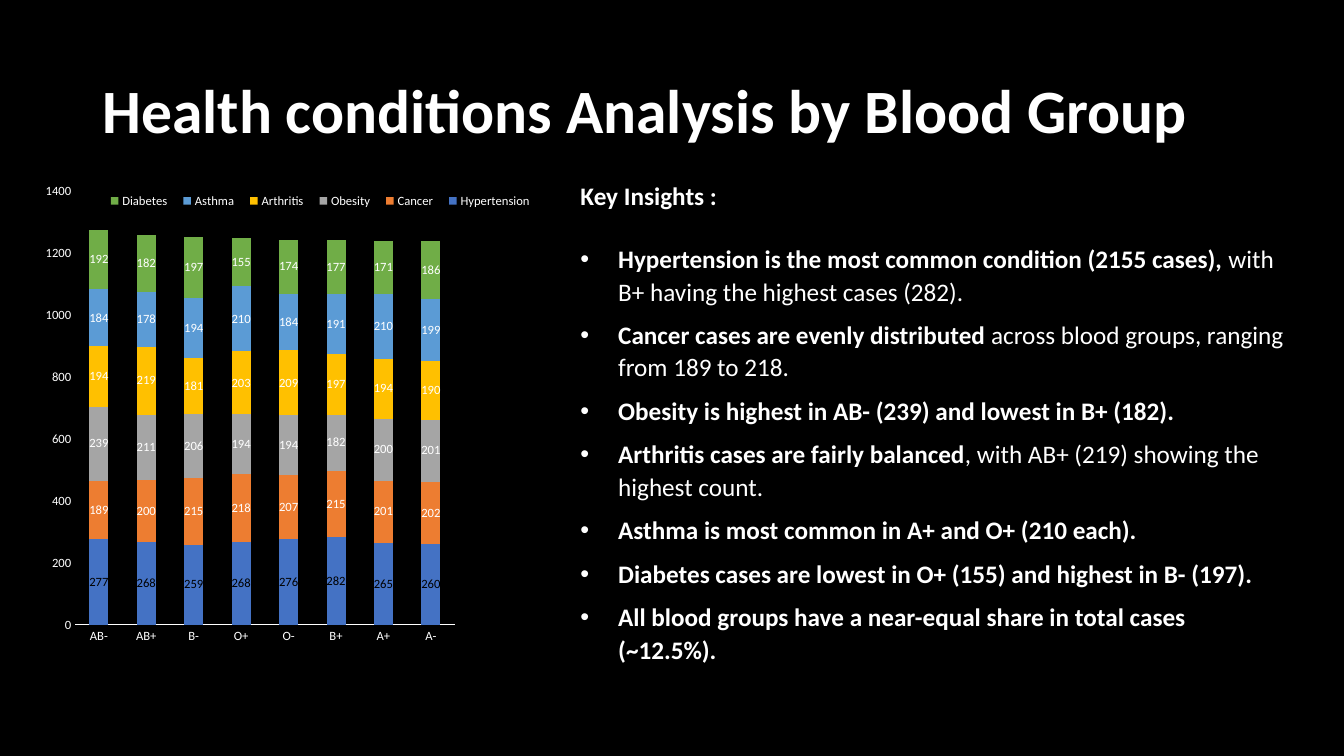
from dataclasses import dataclass

from lxml.etree import SubElement
from pptx import Presentation
from pptx.chart.data import CategoryChartData
from pptx.dml.color import RGBColor
from pptx.enum.chart import (XL_CHART_TYPE, XL_LABEL_POSITION, XL_LEGEND_POSITION,
                             XL_TICK_MARK)
from pptx.enum.text import MSO_ANCHOR, MSO_AUTO_SIZE, PP_ALIGN
from pptx.oxml.ns import qn
from pptx.util import Cm, Pt


@dataclass(frozen=True)
class Theme:
    font: str = "Calibri"
    background: RGBColor = RGBColor(0, 0, 0)
    text: RGBColor = RGBColor(255, 255, 255)
    title_size: int = 44
    body_size: int = 18
    chart_size: int = 9


THEME = Theme()

BLOOD_GROUPS = ["AB-", "AB+", "B-", "O+", "O-", "B+", "A+", "A-"]
CONDITIONS = [
    # name, bar colour, label colour, cases per blood group
    ("Hypertension", "4472C4", THEME.background, [277, 268, 259, 268, 276, 282, 265, 260]),
    ("Cancer", "ED7D31", THEME.text, [189, 200, 215, 218, 207, 215, 201, 202]),
    ("Obesity", "A5A5A5", THEME.text, [239, 211, 206, 194, 194, 182, 200, 201]),
    ("Arthritis", "FFC000", THEME.text, [194, 219, 181, 203, 209, 197, 194, 190]),
    ("Asthma", "5B9BD5", THEME.text, [184, 178, 194, 210, 184, 191, 210, 199]),
    ("Diabetes", "70AD47", THEME.text, [192, 182, 197, 155, 174, 177, 171, 186]),
]
INSIGHTS = [
    # bold finding, plain remainder
    ("Hypertension is the most common condition (2155 cases),",
     " with B+ having the highest cases (282)."),
    ("Cancer cases are evenly distributed",
     " across blood groups, ranging from 189 to 218."),
    ("Obesity is highest in AB- (239) and lowest in B+ (182).", ""),
    ("Arthritis cases are fairly balanced",
     ", with AB+ (219) showing the highest count."),
    ("Asthma is most common in A+ and O+ (210 each).", ""),
    ("Diabetes cases are lowest in O+ (155) and highest in B- (197).", ""),
    ("All blood groups have a near-equal share in total cases (~12.5%).", ""),
]


def style_font(font, size, color=THEME.text, bold=False):
    font.name = THEME.font
    font.size = Pt(size)
    font.bold = bold
    font.color.rgb = color


def write(paragraph, text, size=THEME.body_size, **style):
    run = paragraph.add_run()
    run.text = text
    style_font(run.font, size, **style)


def add_bullet(paragraph, indent):
    properties = paragraph._p.get_or_add_pPr()
    properties.set("marL", str(indent))
    properties.set("indent", str(-indent))
    SubElement(properties, qn("a:buFont")).set("typeface", "Arial")
    SubElement(properties, qn("a:buChar")).set("char", "•")


def set_layout(element, index, **fractions):
    """Place a chart part at fractions (x, y, w, h) of the chart area."""
    for previous in element.findall(qn("c:layout")):
        element.remove(previous)
    layout = SubElement(element, qn("c:layout"))
    element.insert(index, layout)
    manual = SubElement(layout, qn("c:manualLayout"))
    if element.tag == qn("c:plotArea"):
        SubElement(manual, qn("c:layoutTarget")).set("val", "inner")
    for side in ("x", "y"):
        SubElement(manual, qn(f"c:{side}Mode")).set("val", "edge")
    for side, fraction in fractions.items():
        SubElement(manual, qn(f"c:{side}")).set("val", str(fraction))


def add_title(slide, left, top, width, height):
    title = slide.shapes.title
    title.left, title.top, title.width, title.height = left, top, width, height
    frame = title.text_frame
    frame.auto_size = MSO_AUTO_SIZE.NONE
    frame.vertical_anchor = MSO_ANCHOR.MIDDLE
    paragraph = frame.paragraphs[0]
    paragraph.alignment = PP_ALIGN.LEFT
    paragraph.line_spacing = 0.9
    write(paragraph, "Health conditions Analysis by Blood Group",
          size=THEME.title_size, bold=True)


def style_axes(chart):
    for axis in (chart.category_axis, chart.value_axis):
        axis.has_major_gridlines = False
        axis.major_tick_mark = axis.minor_tick_mark = XL_TICK_MARK.NONE
        style_font(axis.tick_labels.font, THEME.chart_size)
    category_line = chart.category_axis.format.line
    category_line.color.rgb = THEME.text
    category_line.width = Pt(0.75)
    chart.value_axis.format.line.fill.background()
    chart.value_axis.minimum_scale = 0
    chart.value_axis.maximum_scale = 1400
    chart.value_axis.major_unit = 200
    chart.value_axis.tick_labels.number_format = "0"
    chart.value_axis.tick_labels.number_format_is_linked = False


def add_cases_chart(slide, left, top, width, height):
    cases = CategoryChartData(number_format="0")
    cases.categories = BLOOD_GROUPS
    for name, _, _, counts in CONDITIONS:
        cases.add_series(name, counts)
    chart = slide.shapes.add_chart(XL_CHART_TYPE.COLUMN_STACKED,
                                   left, top, width, height, cases).chart
    chart.has_title = False
    style_font(chart.font, 10)
    style_axes(chart)

    plot = chart.plots[0]
    plot.gap_width, plot.overlap = 150, 100
    plot.vary_by_categories = False
    for series, (_, bar_color, label_color, _) in zip(plot.series, CONDITIONS):
        series.format.fill.solid()
        series.format.fill.fore_color.rgb = RGBColor.from_string(bar_color)
        labels = series.data_labels
        labels.show_value = True
        labels.position = XL_LABEL_POSITION.CENTER
        labels.number_format = "0"
        labels.number_format_is_linked = False
        style_font(labels.font, THEME.chart_size, color=label_color)

    chart.has_legend = True
    legend = chart.legend
    legend.position = XL_LEGEND_POSITION.RIGHT
    legend.include_in_layout = False
    style_font(legend.font, THEME.chart_size)
    set_layout(legend._element, 1, x=0.12, y=0.03, w=0.84, h=0.05)
    plot_area = chart._chartSpace.chart.plotArea
    set_layout(plot_area, 0, x=0.075, y=0.035, w=0.72, h=0.906)


def add_insights(slide, left, top, width, height):
    frame = slide.shapes.add_textbox(left, top, width, height).text_frame
    frame.word_wrap = True
    heading = frame.paragraphs[0]
    heading.space_after = Pt(22)
    write(heading, "Key Insights :", bold=True)
    for finding, remainder in INSIGHTS:
        paragraph = frame.add_paragraph()
        paragraph.line_spacing = 1.07
        paragraph.space_after = Pt(8)
        add_bullet(paragraph, Cm(0.95))
        write(paragraph, finding, bold=True)
        if remainder:
            write(paragraph, remainder)


def main():
    deck = Presentation()
    deck.slide_width, deck.slide_height = Cm(33.87), Cm(19.05)
    slide = deck.slides.add_slide(deck.slide_layouts.get_by_name("Title Only"))
    slide.background.fill.solid()
    slide.background.fill.fore_color.rgb = THEME.background
    add_title(slide, Cm(2.33), Cm(1.01), Cm(29.21), Cm(3.68))
    add_cases_chart(slide, Cm(0.9), Cm(4.4), Cm(13.28), Cm(12.06))
    add_insights(slide, Cm(14.38), Cm(4.42), Cm(18.29), Cm(13.61))
    deck.save("out.pptx")


if __name__ == "__main__":
    main()
